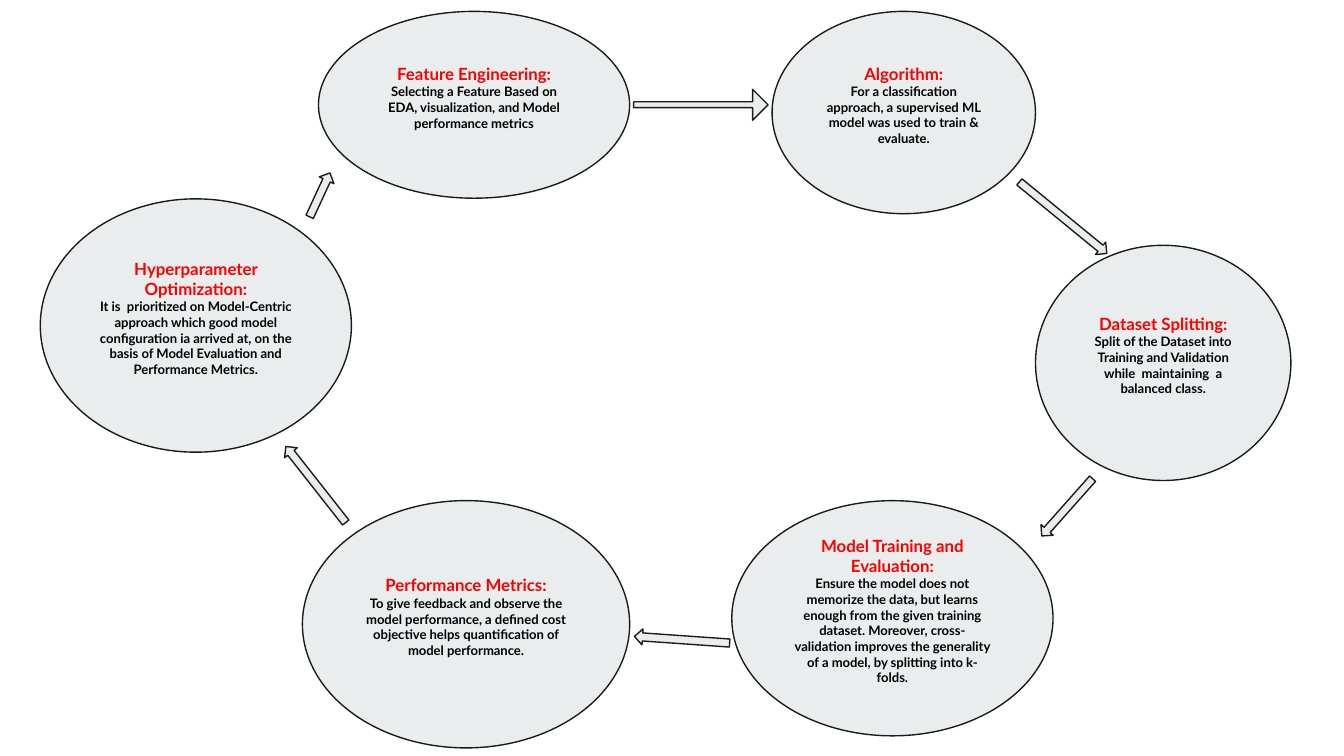
"""Build a slide showing a six-stage machine learning cycle."""
from typing import NamedTuple

from pptx import Presentation
from pptx import util as u
from pptx.dml.color import RGBColor
from pptx.enum import shapes, text

PX = 4572
FONT = "Lato"
FILL, OUTLINE, HEADING, BODY = "E9EDEE", "1A1A1A", "FF0000", "000000"


class Stage(NamedTuple):
    """An ellipse of the cycle, with its heading and description."""
    left: int
    top: int
    width: int
    height: int
    heading: str
    body: str


class Arrow(NamedTuple):
    """A block arrow leading from one stage to the next."""
    left: int
    top: int
    width: int
    height: int = 24
    rotation: float = 0
    shaft: float = 0.5


STAGES = [
    Stage(474, 17, 463, 278, "Feature Engineering:",
          "Selecting a Feature Based on EDA, visualization, and Model "
          "performance metrics"),
    Stage(1149, 17, 392, 301, "Algorithm:",
          "For a classification approach, a supervised ML model was used to "
          "train & evaluate."),
    Stage(1541, 365, 380, 350, "Dataset Splitting:",
          "Split of the Dataset into Training and Validation while  "
          "maintaining  a balanced class."),
    Stage(1089, 745, 478, 350, "Model Training and Evaluation:",
          "Ensure the model does not memorize the data, but learns enough "
          "from the given training dataset. Moreover, cross-validation "
          "improves the generality of a model, by splitting into k-folds."),
    Stage(450, 745, 487, 368, "Performance Metrics:",
          "To give feedback and observe the model performance, a defined cost "
          "objective helps quantification of model performance."),
    Stage(60, 296, 463, 377, "Hyperparameter Optimization:",
          "It is  prioritized on Model-Centric approach which good model "
          "configuration ia arrived at, on the basis of Model Evaluation and "
          "Performance Metrics."),
]

ARROWS = [
    Arrow(943, 133, 200, height=46, shaft=0.19),
    Arrow(1498, 312, 168, rotation=39.3),
    Arrow(1531, 743, 114, rotation=131.6),
    Arrow(944, 940, 142, rotation=184),
    Arrow(398, 709, 144, rotation=231.8),
    Arrow(440, 278, 72, rotation=294.8),
]


def px(length: int) -> u.Emu:
    """Turn px into EMU."""
    return u.Emu(length * PX)


def color(value: str) -> RGBColor:
    """Turn a hex string into a colour."""
    return RGBColor.from_string(value)


def add_block(page, kind, item: Stage | Arrow):
    """Add an outlined preset shape in the place of the item."""
    block = page.shapes.add_shape(kind, px(item.left), px(item.top),
                                  px(item.width), px(item.height))
    block.shadow.inherit = False
    block.fill.solid()
    block.fill.fore_color.rgb = color(FILL)
    block.line.color.rgb = color(OUTLINE)
    block.line.width = u.Pt(0.75)
    return block


def write(para, words: str, *, size: int, ink: str, bold: bool = True) -> None:
    """Write centred words into a paragraph."""
    para.alignment = text.PP_ALIGN.CENTER
    span = para.add_run()
    span.text = words
    span.font.name = FONT
    span.font.size = u.Pt(size)
    span.font.bold = bold
    span.font.color.rgb = color(ink)


def draw_stage(page, stage: Stage) -> None:
    """Draw an ellipse with its text slightly above the middle."""
    frame = add_block(page, shapes.MSO_SHAPE.OVAL, stage).text_frame
    frame.word_wrap = True
    frame.vertical_anchor = text.MSO_ANCHOR.MIDDLE
    frame.margin_left = frame.margin_right = frame.margin_top = px(20)
    frame.margin_bottom = px(43)
    write(frame.paragraphs[0], stage.heading, size=9, ink=HEADING)
    write(frame.add_paragraph(), stage.body, size=7, ink=BODY)


def draw_arrow(page, arrow: Arrow) -> None:
    """Draw a turned block arrow."""
    block = add_block(page, shapes.MSO_SHAPE.RIGHT_ARROW, arrow)
    block.rotation = arrow.rotation
    block.adjustments[0] = arrow.shaft
    block.adjustments[1] = 0.5


def main() -> None:
    """Build and save the deck."""
    deck = Presentation()
    deck.slide_width, deck.slide_height = px(2000), px(1125)
    page = deck.slides.add_slide(deck.slide_layouts[6])
    for stage in STAGES:
        draw_stage(page, stage)
    for arrow in ARROWS:
        draw_arrow(page, arrow)
    deck.save("out.pptx")


if __name__ == "__main__":
    main()
